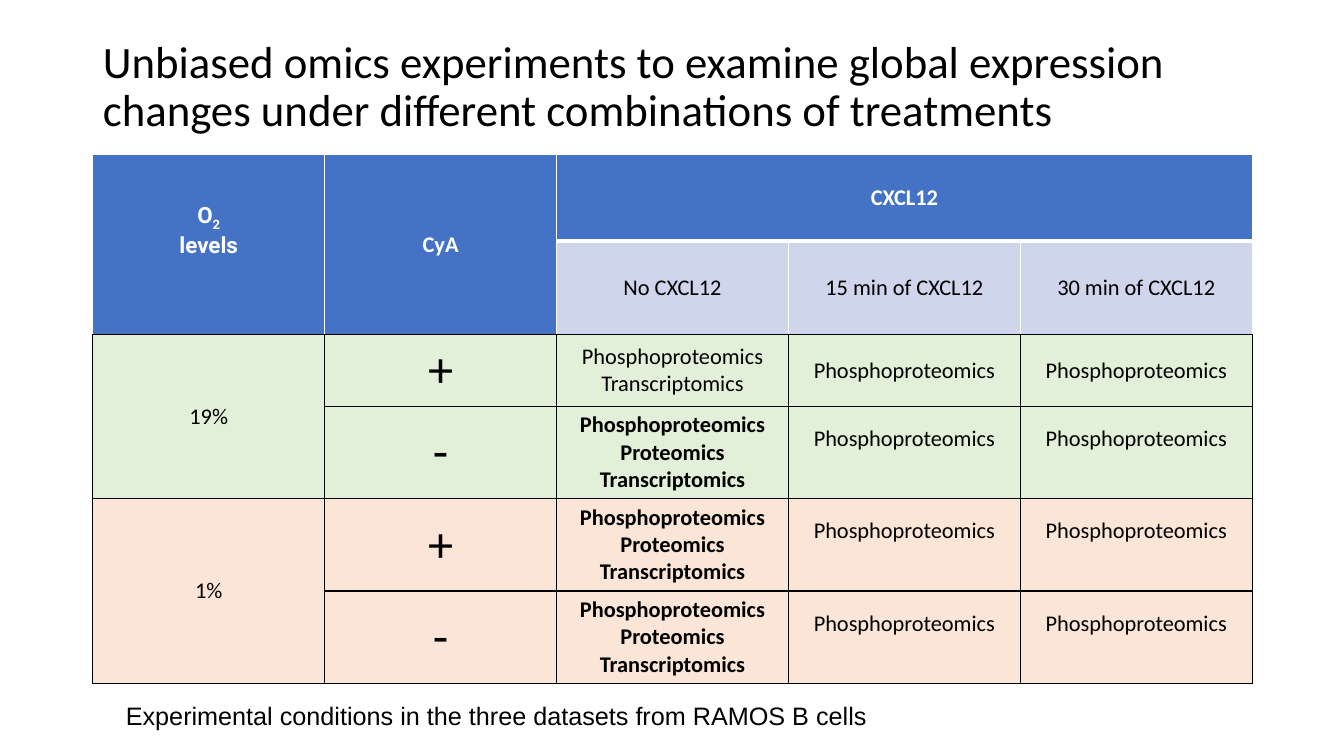
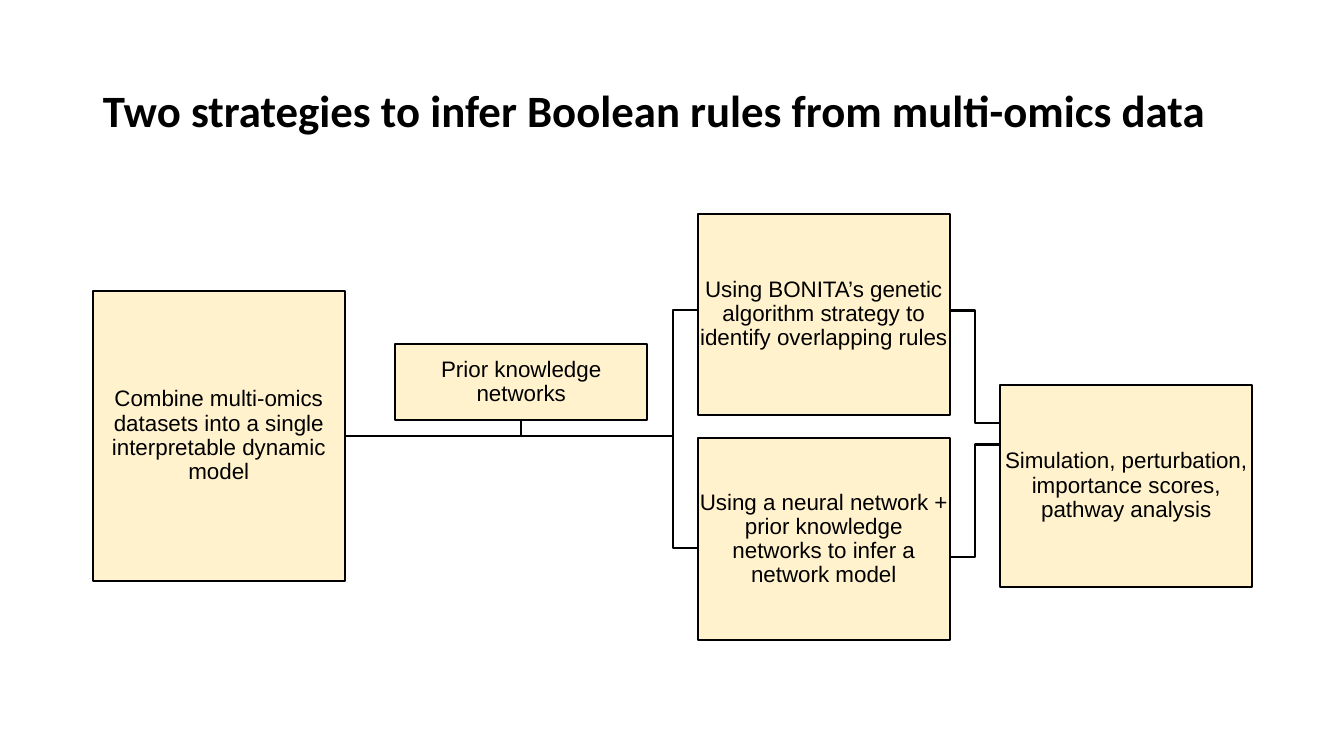
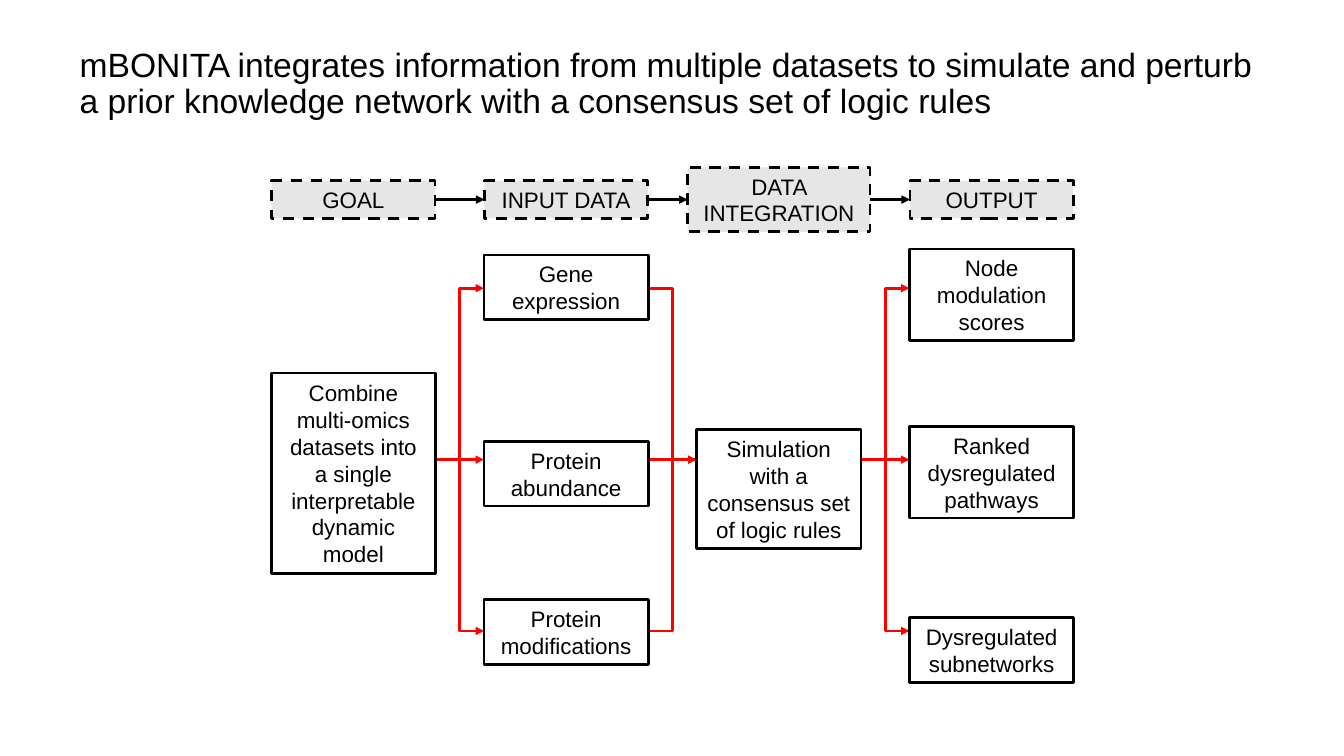
from dataclasses import dataclass

from lxml.etree import SubElement
from pptx import Presentation
from pptx.dml.color import RGBColor
from pptx.enum.dml import MSO_LINE
from pptx.enum.shapes import MSO_CONNECTOR, MSO_SHAPE
from pptx.enum.text import MSO_ANCHOR, MSO_AUTO_SIZE, PP_ALIGN
from pptx.oxml import parse_xml
from pptx.oxml.ns import nsdecls, qn
from pptx.util import Inches, Pt


@dataclass(frozen=True)
class Theme:
    black: str = "000000"
    white: str = "FFFFFF"
    blue: str = "4472C4"
    pale: str = "CFD5EA"
    green: str = "E2F0D9"
    peach: str = "FBE5D6"
    cream: str = "FFF2CC"
    gray: str = "E7E6E6"
    red: str = "FF0000"
    sans: str = "Arial"
    head: str = "Calibri"
    label: str = "Roboto"
    title: int = 32
    subtitle: int = 24
    sign: int = 36
    note: int = 18
    body: int = 16
    thin: float = 1.5
    thick: float = 2


@dataclass(frozen=True)
class Box:
    x: float
    y: float
    w: float
    h: float

    @property
    def right(self):
        return self.x + self.w

    @property
    def mid(self):
        return self.y + self.h / 2

    def inches(self):
        return [Inches(v) for v in (self.x, self.y, self.w, self.h)]

    def cols(self, count, gap):
        """Split into equal columns of full height."""
        wide = (self.w + gap) / count - gap
        return [Box(self.x + i * (wide + gap), self.y, wide, self.h)
                for i in range(count)]

    def slot(self, top, high, wide=None):
        """A centred piece, top measured from this box."""
        wide = wide or self.w
        return Box(self.x + (self.w - wide) / 2, self.y + top, wide, high)


T = Theme()


def rgb(code):
    return RGBColor.from_string(code)


def write(frame, text, size=T.body, font=T.sans, color=T.black, bold=False,
          align=PP_ALIGN.CENTER, space=1.0):
    """One paragraph a line; an underscore starts a subscript."""
    for i, line in enumerate(text.split("\n")):
        para = frame.paragraphs[0] if i == 0 else frame.add_paragraph()
        para.alignment, para.line_spacing = align, space
        for j, piece in enumerate(line.split("_")):
            run = para.add_run()
            run.text = piece
            face = run.font
            face.size, face.name, face.bold = Pt(size), font, bold
            face.color.rgb = rgb(color)
            if j:
                run._r.get_or_add_rPr().set("baseline", "-25000")


def start(deck, text, box, foot=0.05, **style):
    """Add a slide with its title."""
    slide = deck.slides.add_slide(deck.slide_layouts[5])
    title = slide.shapes.title
    title.left, title.top, title.width, title.height = box.inches()
    frame = title.text_frame
    frame.word_wrap, frame.auto_size = True, MSO_AUTO_SIZE.NONE
    frame.vertical_anchor = MSO_ANCHOR.MIDDLE
    frame.margin_bottom = Inches(foot)
    write(frame, text, align=PP_ALIGN.LEFT, space=0.9, **style)
    return slide


def panel(slide, text, box, fill=None, width=T.thick, dash=False,
          inset=None, space=1.0):
    shape = slide.shapes.add_shape(MSO_SHAPE.RECTANGLE, *box.inches())
    shape.shadow.inherit = False
    if fill:
        shape.fill.solid()
        shape.fill.fore_color.rgb = rgb(fill)
    else:
        shape.fill.background()
    shape.line.color.rgb, shape.line.width = rgb(T.black), Pt(width)
    if dash:
        shape.line.dash_style = MSO_LINE.DASH
    frame = shape.text_frame
    frame.word_wrap, frame.vertical_anchor = True, MSO_ANCHOR.MIDDLE
    if inset is not None:
        frame.margin_left = frame.margin_right = Inches(inset)
        frame.margin_top = frame.margin_bottom = Inches(inset)
    write(frame, text, space=space)
    return shape


def link(slide, x1, y1, x2, y2, color=T.black, width=T.thick, arrow=False,
         bend=0.5):
    """Straight when the ends align, else an elbow turning at share bend."""
    kind = MSO_CONNECTOR.STRAIGHT if x1 == x2 or y1 == y2 else MSO_CONNECTOR.ELBOW
    line = slide.shapes.add_connector(kind, *map(Inches, (x1, y1, x2, y2)))
    line.line.color.rgb, line.line.width = rgb(color), Pt(width)
    props = line._element.spPr
    if kind == MSO_CONNECTOR.ELBOW:
        SubElement(props.find(".//" + qn("a:avLst")), qn("a:gd"),
                   name="adj1", fmla=f"val {round(bend * 100000)}")
    if arrow:
        SubElement(props.find(qn("a:ln")), qn("a:tailEnd"), type="triangle")
    SubElement(props, qn("a:effectLst"))
    return line


def edge(cell, sides):
    """Set borders; sides holds colour and points for L, R, T, B."""
    props = cell._tc.get_or_add_tcPr()
    for i, (side, (color, width)) in enumerate(zip("LRTB", sides)):
        props.insert(i, parse_xml(
            f'<a:ln{side} {nsdecls("a")} w="{Pt(width)}"><a:solidFill>'
            f'<a:srgbClr val="{color}"/></a:solidFill></a:ln{side}>'))


def grid(slide, box):
    """Treatment table: two header rows, then two rows per oxygen level."""
    rows = [0.86, 0.93, 0.7, 0.9, 0.9, 0.9]
    table = slide.shapes.add_table(len(rows), 5, *box.inches()).table
    table.first_row = table.horz_banding = False
    for row, high in zip(table.rows, rows):
        row.height = Inches(high)
    for col in table.columns:
        col.width = Inches(box.w / 5)

    dark, light = (T.black, 1), (T.white, 1)
    for r in range(len(rows)):
        for c in range(5):
            cell = table.cell(r, c)
            cell.fill.solid()
            if r > 1:
                fill, sides = (T.green if r < 4 else T.peach), [dark] * 4
            else:
                fill = T.blue if r == 0 or c < 2 else T.pale
                last = (T.white, 3) if r == 0 and c > 1 else dark
                sides = [light, light, light, last]
                if r == 1 and c > 1:
                    sides[2] = (T.white, 3)
            cell.fill.fore_color.rgb = rgb(fill)
            edge(cell, sides)
    for r, c, r2, c2 in ((0, 0, 1, 0), (0, 1, 1, 1), (0, 2, 0, 4),
                         (2, 0, 3, 0), (4, 0, 5, 0)):
        table.cell(r, c).merge(table.cell(r2, c2))

    def put(r, c, text, foot=0.05, font=T.head, **style):
        cell = table.cell(r, c)
        cell.vertical_anchor = MSO_ANCHOR.MIDDLE
        cell.margin_bottom = Inches(foot)
        write(cell.text_frame, text, font=font, **style)

    top = dict(color=T.white, bold=True)
    put(0, 0, "O_2\nlevels", foot=0.32, font=T.label, **top)
    put(0, 1, "CyA", **top)
    put(0, 2, "CXCL12", **top)
    for c, text in enumerate(("No", "15 min of", "30 min of"), 2):
        put(1, c, f"{text} CXCL12")
    put(2, 0, "19%")
    put(4, 0, "1%")
    for r in range(2, 6):
        full = r > 2
        kinds = ["Phosphoproteomics", "Proteomics", "Transcriptomics"]
        put(r, 1, "-" if r % 2 else "+", size=T.sign)
        put(r, 2, "\n".join(kinds if full else kinds[::2]), bold=full)
        for c in (3, 4):
            put(r, c, kinds[0], foot=0.32 if full else 0.05)


def plan(slide, box):
    """Two strategies between a shared start and a shared end."""
    gap = 0.5
    first, second, third, fourth = box.cols(4, gap)
    look = dict(fill=T.cream, width=T.thin, inset=0.01, space=0.9)
    pen = dict(width=T.thin)
    source, prior = first.slot(0.77, 2.87), second.slot(1.29, 0.76)
    gene, neural = third.slot(0, 2), third.slot(2.23, 2)
    final = fourth.slot(1.7, 2)
    reach = third.x - source.right
    for y in (gene.mid - 0.04, neural.mid + 0.09):
        link(slide, source.right, source.mid, third.x, y,
             bend=1 - gap / 2 / reach, **pen)
    link(slide, gene.right, gene.mid - 0.04, final.x, final.y + 0.38, **pen)
    link(slide, neural.right, neural.mid + 0.18, final.x, final.y + 0.59, **pen)
    for text, place in (
            ("Combine multi-omics datasets into a single interpretable dynamic model", source),
            ("Using BONITA’s genetic algorithm strategy to identify overlapping rules", gene),
            ("Simulation, perturbation, importance scores, pathway analysis", final),
            ("Using a neural network + prior knowledge networks to infer a network model", neural)):
        panel(slide, text, place, **look)
    shape = panel(slide, "Prior knowledge networks", prior, **look)
    x = prior.x + prior.w / 2
    stem = link(slide, x, prior.y + prior.h, x, source.mid, **pen)
    stem.begin_connect(shape, 2)


def flow(slide, box):
    """Four stages: dashed heads above, linked boxes below."""
    cols = box.cols(4, 0.48)
    axis = box.y + 2.9
    for i, (here, after) in enumerate(zip(cols, cols[1:])):
        for y in (axis - 1.7, axis, axis + 1.7):
            ends = (y, axis) if i == 1 else (axis, y)
            link(slide, here.right, ends[0], after.x, ends[1], color=T.red,
                 arrow=i != 1 or y == axis)

    stages = (
        (("Combine multi-omics datasets into a single interpretable dynamic model", 2.04, 1.99),),
        (("Gene expression", 0.87, 0.64),
         ("Protein abundance", 2.72, 0.64),
         ("Protein modifications", 4.29, 0.64)),
        (("Simulation with a consensus set of logic rules", 2.6, 1.18),),
        (("Node modulation scores", 0.81, 0.91),
         ("Ranked dysregulated pathways", 2.57, 0.91),
         ("Dysregulated subnetworks", 4.47, 0.64)))
    for col, items in zip(cols, stages):
        for text, top, high in items:
            panel(slide, text, col.slot(top, high))

    heads = []
    for col, text in zip(cols, ("GOAL", "INPUT DATA", "DATA INTEGRATION", "OUTPUT")):
        high, wide = (0.64, 1.81) if text == "DATA INTEGRATION" else (0.37, 1.62)
        place = col.slot((0.64 - high) / 2, high, wide)
        heads.append((panel(slide, text, place, fill=T.gray, dash=True), place))
    for (left, a), (right, b) in zip(heads, heads[1:]):
        arrow = link(slide, a.right, a.mid, b.x, a.mid, arrow=True)
        arrow.begin_connect(left, 3)
        arrow.end_connect(right, 1)


def main():
    deck = Presentation()
    deck.slide_width, deck.slide_height = Inches(13.33), Inches(7.5)
    band = Box(0.92, 0.4, 11.5, 1.45)

    slide = start(deck, "Unbiased omics experiments to examine global expression "
                  "changes under different combinations of treatments",
                  band, foot=0.55, size=T.title, font=T.head)
    grid(slide, Box(0.92, 1.53, 11.5, 5.19))
    note = slide.shapes.add_textbox(*Box(1.15, 6.9, 11.67, 0.4).inches()).text_frame
    note.word_wrap = True
    write(note, "Experimental conditions in the three datasets from RAMOS B cells",
          size=T.note, align=PP_ALIGN.LEFT)

    slide = start(deck, "Two strategies to infer Boolean rules from multi-omics data",
                  band, size=T.title, font=T.head, bold=True)
    plan(slide, Box(0.92, 2.12, 11.5, 4.23))

    slide = start(deck, "mBONITA integrates information from multiple datasets to "
                  "simulate and perturb a prior knowledge network with a consensus "
                  "set of logic rules", Box(0.69, 0.29, 11.96, 1.1), size=T.subtitle)
    flow(slide, Box(2.69, 1.66, 7.96, 5.11))
    deck.save("out.pptx")


if __name__ == "__main__":
    main()
